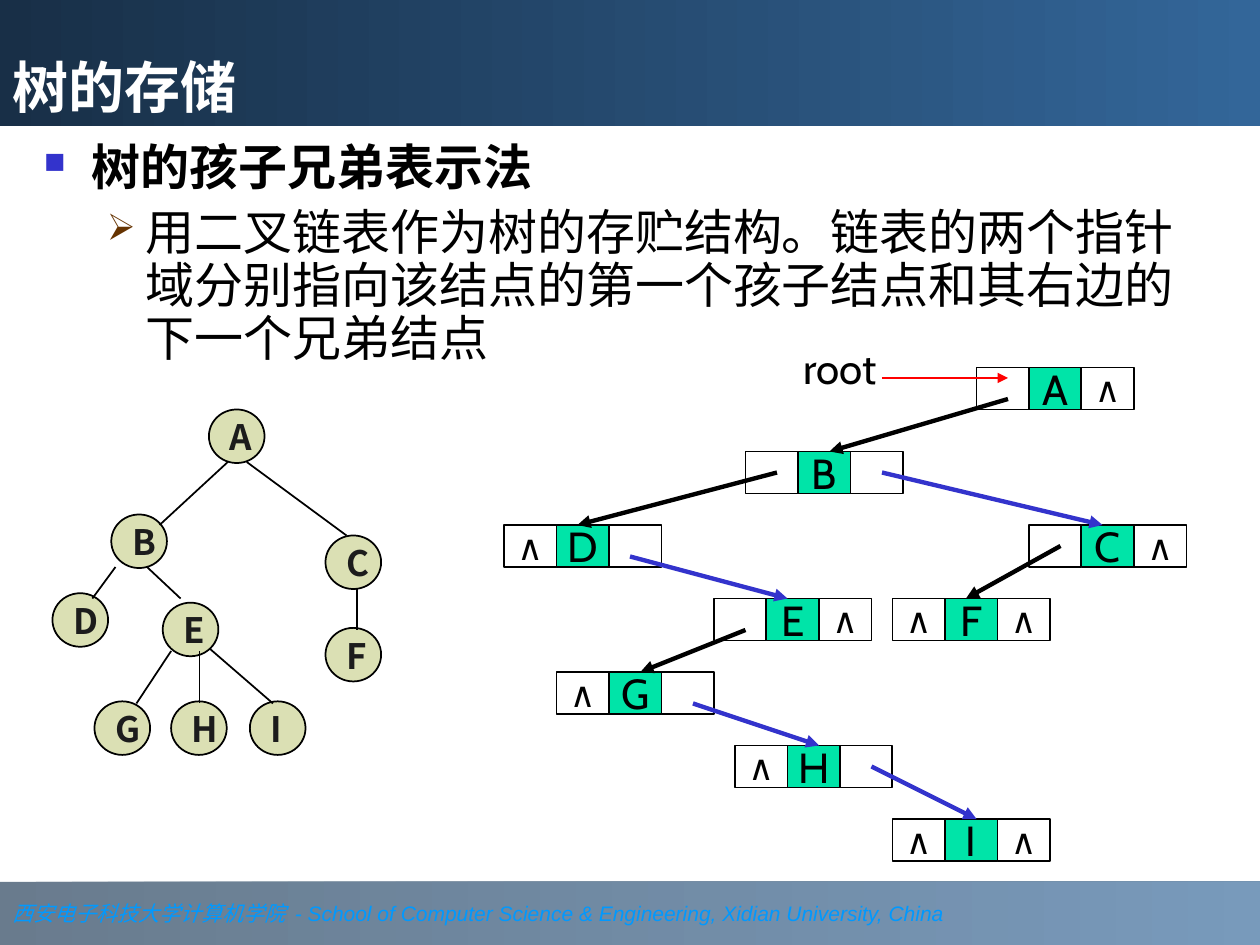
from lxml.etree import SubElement
from pptx import Presentation
from pptx.dml.color import RGBColor
from pptx.enum.shapes import MSO_CONNECTOR as Wire, MSO_SHAPE as Form
from pptx.enum.text import MSO_ANCHOR as Anchor, PP_ALIGN as Align
from pptx.oxml.ns import qn
from pptx.util import Inches, Pt

rgb = RGBColor.from_string
deck = Presentation()
deck.slide_width, deck.slide_height = Inches(10), Inches(7.5)
slide = deck.slides.add_slide(deck.slide_layouts[6])
shapes = slide.shapes
UNIT = deck.slide_width / 120  # the slide is a grid of 120 columns by 90 rows
CJK = "Noto Sans CJK SC"


def place(home, form, col, row, wide, high, fill=None):
    """Add a shape, or a text box when form is None, at a place on the grid."""
    spot = [round(n * UNIT) for n in (col, row, wide, high)]
    if form is None:
        box = home.add_textbox(*spot)
        box.text_frame.word_wrap = True
        return box
    box = home.add_shape(form, *spot)
    box.shadow.inherit = False
    box.line.color.rgb = rgb("000000")
    box.line.width = Pt(1)
    if fill:
        box.fill.solid()
        box.fill.fore_color.rgb = rgb(fill)
    else:
        box.fill.background()
    return box


def write(para, text, size, face, color="000000", bold=False, slant=False):
    """Add one run to a paragraph."""
    run = para.add_run()
    run.text = text
    font = run.font
    font.size, font.name, font.bold, font.italic = Pt(size), face, bold, slant
    font.color.rgb = rgb(color)
    SubElement(run._r.rPr, qn("a:ea"), typeface=CJK)


# Footer and title bands
bands = []
for row, high, start, alpha in ((84, 6, "1C3853", 66), (0, 12, "182F47", 100)):
    band = place(shapes, Form.RECTANGLE, 0, row, 120, high)
    band.line.fill.background()
    band.fill.gradient()
    band.fill.gradient_angle = 0
    for stop, color, pos in zip(band.fill.gradient_stops, (start, "336699"), (0, 1)):
        stop.color.rgb = rgb(color)
        stop.position = pos
    if alpha < 100:
        for tint in band._element.spPr.iter(qn("a:srgbClr")):
            SubElement(tint, qn("a:alpha"), val=str(alpha * 1000))
    band.text_frame.paragraphs[0].alignment = Align.LEFT
    bands.append(band.text_frame)

foot, head = bands
foot.vertical_anchor, head.vertical_anchor = Anchor.MIDDLE, Anchor.BOTTOM
line = foot.paragraphs[0]
write(line, "西安电子科技大学计算机学院  ", 12, "Times New Roman", "0099FF", slant=True)
write(line, "- School of Computer Science & Engineering, Xidian University, China",
      12, "Arial", "0099FF", slant=True)
write(head.paragraphs[0], "树的存储", 32, "Cabin", "FFFFFF", bold=True)

# Body text
body = place(shapes, None, 3, 13, 114, 24).text_frame
points = (
    ("树的孩子兄弟表示法", "Cabin", True, 0.38, -0.38, "■", "3333CC", 60),
    ("用二叉链表作为树的存贮结构。链表的两个指针域分别指向该结点的第一个孩子结点和其右边的下一个兄弟结点",
     CJK, False, 0.81, -0.31, "➢", "663300", 75),
)
for level, (text, face, bold, left, hang, mark, color, share) in enumerate(points):
    para = body.add_paragraph() if level else body.paragraphs[0]
    para.level = level
    para.line_spacing = 0.9
    if level:
        para.space_before = Pt(7)
    props = para._p.get_or_add_pPr()
    props.set("marL", str(Inches(left)))
    props.set("indent", str(Inches(hang)))
    SubElement(SubElement(props, qn("a:buClr")), qn("a:srgbClr"), val=color)
    SubElement(props, qn("a:buSzPct"), val=str(share * 1000))
    SubElement(props, qn("a:buChar"), char=mark)
    write(para, text, 28, face, bold=bold)

# Tree on the left
tree = shapes.add_group_shape().shapes
balls = {"I": (23.8, 66.8), "A": (19.9, 39), "C": (31, 51), "B": (10.6, 49),
         "H": (16.3, 66.8), "G": (9, 66.8), "F": (31, 59.8), "E": (15.5, 57.4),
         "D": (5, 56.5)}
for name, (col, row) in balls.items():
    place(tree, Form.OVAL, col, row, 5.3, 5.1, "DBE0B4")
    label = place(tree, None, col + 0.8, row, 5.3, 5.3)
    write(label.text_frame.paragraphs[0], name, 20, CJK, "1C1C1C", bold=True)

# Linked nodes on the right: left pointer, name, right pointer
nodes = (("", "A", "∧", 93, 35), ("", "B", "", 71, 43), ("∧", "D", "", 48, 50),
         ("", "C", "∧", 98, 50), ("", "E", "∧", 68, 57), ("∧", "F", "∧", 85, 57),
         ("∧", "G", "", 53, 64), ("∧", "H", "", 70, 71), ("∧", "I", "∧", 85, 78))
for *cells, col, row in nodes:
    node = shapes.add_group_shape().shapes
    for spot, text in enumerate(cells):
        mid = spot == 1
        cell = place(node, Form.RECTANGLE, col + 5 * spot, row, 5, 4,
                     "00E4A8" if mid else None)
        frame = cell.text_frame
        frame.word_wrap = False
        frame.vertical_anchor = Anchor.MIDDLE
        if text:
            frame.paragraphs[0].alignment = Align.CENTER
            write(frame.paragraphs[0], text, 24 if mid else 20, "Cabin")

# Tree edges, child links and sibling links
edges = ((21.7, 44, 15.2, 50), (11, 54, 8.8, 57), (14, 54, 17.2, 57),
         (23.5, 44, 33, 51), (16.3, 62, 13, 67), (20, 61.8, 26, 67),
         (19, 62, 19, 67), (34, 56, 34, 60))
child = ((96, 38, 79, 43), (74, 45, 55, 50), (71, 60, 61, 64), (101, 52, 92, 57))
sibling = ((84, 45, 105, 50), (60, 53, 75, 57), (66, 67, 78, 71), (83, 73, 93, 78))
arrows = []
for home, group, color, width in ((tree, edges, "000000", 1),
                                  (shapes, child, "000000", 2.5),
                                  (shapes, sibling, "3333CC", 2.5)):
    for ends in group:
        link = home.add_connector(Wire.STRAIGHT, *(round(n * UNIT) for n in ends))
        link.line.color.rgb = rgb(color)
        link.line.width = Pt(width)
        SubElement(link._element.spPr, qn("a:effectLst"))
        if home is shapes:
            arrows.append(link)

# Root pointer
root = place(shapes, None, 73, 32, 14, 6).text_frame.paragraphs[0]
root.alignment = Align.CENTER
write(root, "root", 24, "Cabin")

bends = ((7, 2.92), (7.05, 2.9), (7.09, 2.88), (7.17, 2.86), (7.24, 2.84),
         (7.34, 2.82), (7.44, 2.8), (7.55, 2.78), (7.63, 2.72), (7.78, 2.74),
         (7.93, 2.76), (8.24, 2.89), (8.33, 2.92))
trace = []
for first in range(0, len(bends) - 1, 3):
    for step in range(1, 9):
        t = step / 8
        mix = ((1 - t) ** 3, 3 * t * (1 - t) ** 2, 3 * t * t * (1 - t), t ** 3)
        trace.append([sum(m * p[axis] for m, p in zip(mix, bends[first:first + 4]))
                      for axis in (0, 1)])
pen = shapes.build_freeform(*bends[0], scale=Inches(1))
pen.add_line_segments(trace, close=False)
curve = pen.convert_to_shape()
curve.shadow.inherit = False
curve.fill.background()
curve.line.color.rgb = rgb("FF0000")
curve.line.width = Pt(1)

for arrow in arrows + [curve]:
    SubElement(arrow._element.spPr.find(qn("a:ln")), qn("a:tailEnd"), type="triangle")

deck.save("out.pptx")
